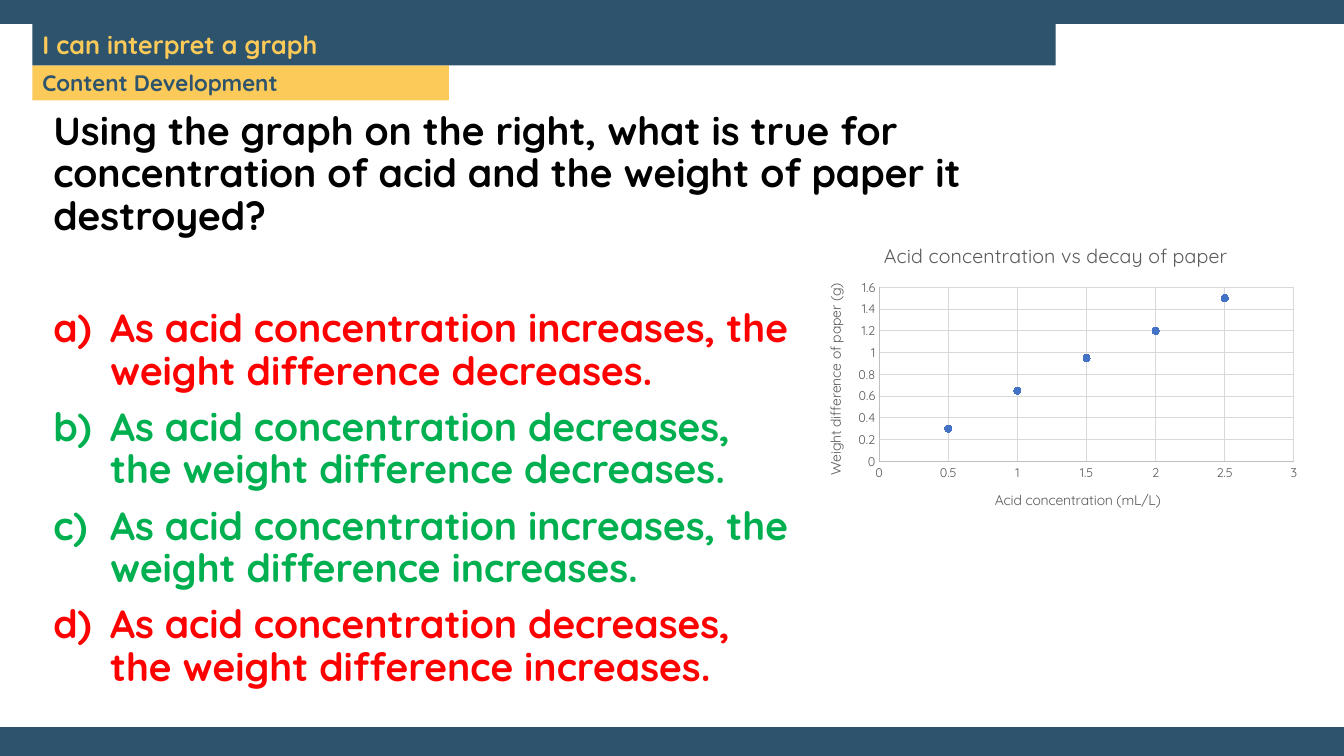
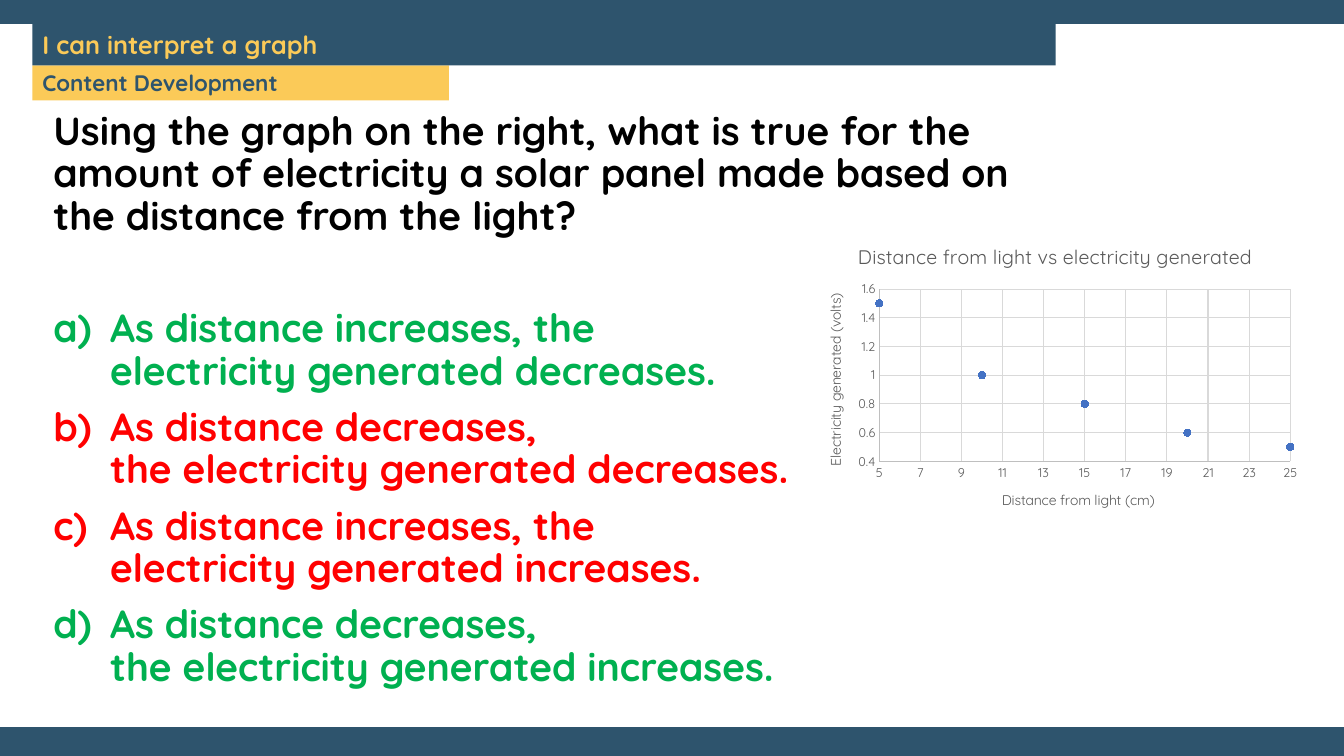
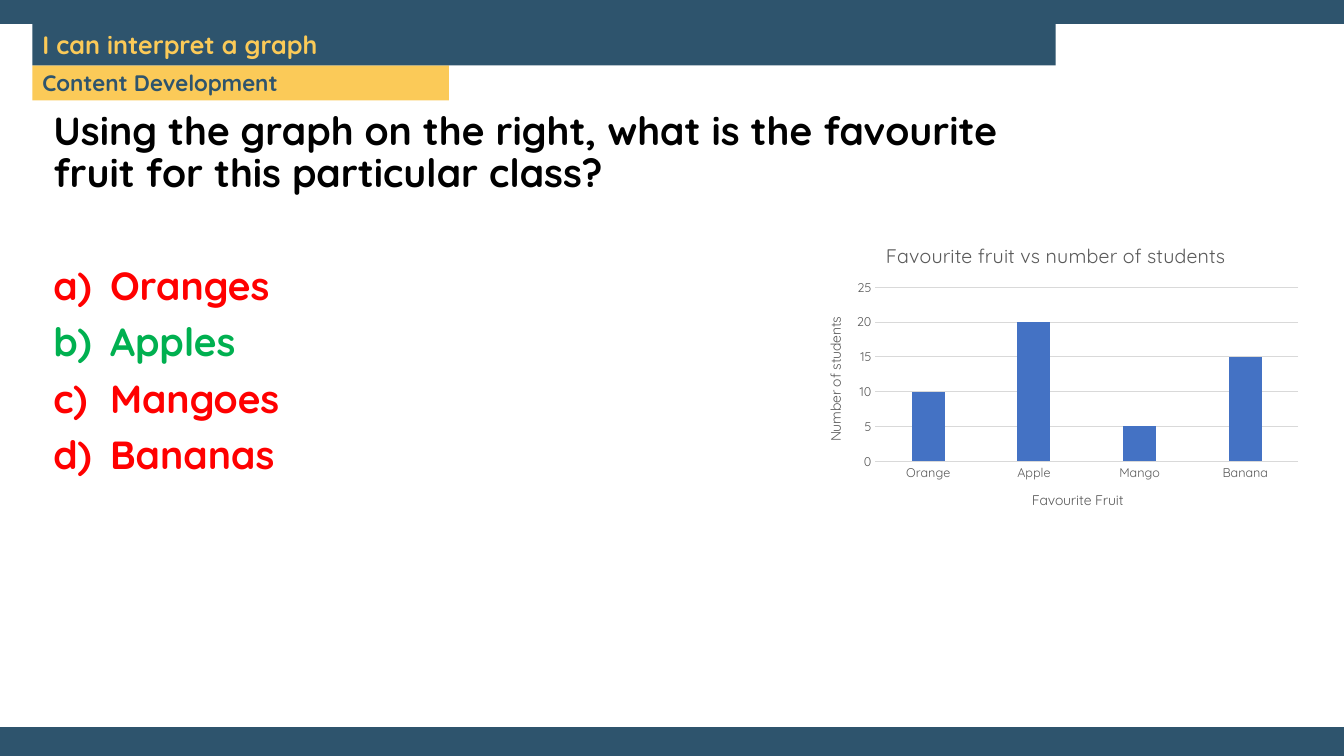
from lxml import etree
from pptx import Presentation
from pptx.chart.data import CategoryChartData, XyChartData
from pptx.dml.color import RGBColor
from pptx.enum.chart import XL_CHART_TYPE, XL_MARKER_STYLE, XL_TICK_MARK
from pptx.enum.shapes import MSO_SHAPE
from pptx.enum.text import MSO_ANCHOR, PP_ALIGN
from pptx.oxml.ns import qn
from pptx.util import Pt

SCATTER, COLUMN = XL_CHART_TYPE.XY_SCATTER, XL_CHART_TYPE.COLUMN_CLUSTERED
CIRCLE, NO_TICK = XL_MARKER_STYLE.CIRCLE, XL_TICK_MARK.NONE
RECTANGLE, MIDDLE, LEFT = MSO_SHAPE.RECTANGLE, MSO_ANCHOR.MIDDLE, PP_ALIGN.LEFT


class Theme:
    font = "Quicksand"
    navy = RGBColor.from_string("2E546D")
    yellow = RGBColor.from_string("FBCA58")
    white = RGBColor.from_string("FFFFFF")
    black = RGBColor.from_string("000000")
    right = RGBColor.from_string("00B050")
    wrong = RGBColor.from_string("FF0000")
    data = RGBColor.from_string("4472C4")
    label = RGBColor.from_string("595959")
    axis = RGBColor.from_string("BFBFBF")
    grid = RGBColor.from_string("D9D9D9")
    goal_size, stage_size, question_size = 18, 16, 28
    chart_title_size, axis_title_size, tick_size = 14, 10, 9


def set_font(font, size, color, bold):
    for name, value in {"name": Theme.font, "size": Pt(size), "bold": bold}.items():
        setattr(font, name, value)
    font.color.rgb = color


def place(element, index, values):
    """Give a chart part a fixed place, as fractions of the chart."""
    for old in element.findall(qn("c:layout")):
        element.remove(old)
    layout = etree.Element(qn("c:layout"))
    manual = etree.SubElement(layout, qn("c:manualLayout"))
    for name, value in values.items():
        etree.SubElement(manual, qn("c:" + name)).set("val", str(value))
    element.insert(index, layout)


# Bands on every slide: left, top, width, height, fill, text, size, text colour
BANDS = [
    (0, 0, 960, 540, Theme.navy, "", 0, None),
    (0, 17.3, 960, 501.9, Theme.white, "", 0, None),
    (23.2, 46.8, 297.4, 24.9, Theme.yellow, "Content Development", Theme.stage_size, Theme.navy),
    (23.2, 17.3, 730.8, 29.5, Theme.navy, "I can interpret a graph", Theme.goal_size, Theme.yellow),
]
CHART_LEFT, CHART_TOP, CHART_WIDTH, CHART_HEIGHT = 573.8, 162, 360, 216

# Axis ranges are minimum, maximum, step; places are points inside the chart
SLIDES = [
    {
        "question": "Using the graph on the right, what is true for concentration of acid "
                    "and the weight of paper it destroyed?",
        "answers": [
            ("As acid concentration increases, the\nweight difference decreases.", False),
            ("As acid concentration decreases,\nthe weight difference decreases.", True),
            ("As acid concentration increases, the\nweight difference increases.", True),
            ("As acid concentration decreases,\nthe weight difference increases.", False),
        ],
        "kind": SCATTER,
        "x": [0.5, 1, 1.5, 2, 2.5],
        "y": [0.3, 0.65, 0.95, 1.2, 1.5],
        "x_range": (0, 3, 0.5),
        "y_range": (0, 1.6, 0.2),
        "titles": [("Acid concentration vs decay of paper", 55, 8),
                   ("Acid concentration (mL/L)", 135, 186),
                   ("Weight difference of paper (g)", 14, 38.5)],
        "plot": (54.3, 43.3, 296.2, 124.3),
    },
    {
        "question": "Using the graph on the right, what is true for the amount of electricity "
                    "a solar panel made based on the distance from the light?",
        "answers": [
            ("As distance increases, the\nelectricity generated decreases.", True),
            ("As distance decreases,\nthe electricity generated decreases.", False),
            ("As distance increases, the\nelectricity generated increases.", False),
            ("As distance decreases,\nthe electricity generated increases.", True),
        ],
        "kind": SCATTER,
        "x": [5, 10, 15, 20, 25],
        "y": [1.5, 1, 0.8, 0.6, 0.5],
        "x_range": (5, 25, 2),
        "y_range": (0.4, 1.6, 0.2),
        "titles": [("Distance from light vs electricity generated", 36.5, 8.5),
                   ("Distance from light (cm)", 140, 186),
                   ("Electricity generated (volts)", 14, 45.5)],
        "plot": (54.3, 44.5, 293.6, 123.1),
    },
    {
        "question": "Using the graph on the right, what is the favourite fruit "
                    "for this particular class?",
        "answers": [("Oranges", False), ("Apples", True), ("Mangoes", False), ("Bananas", False)],
        "kind": COLUMN,
        "x": ["Orange", "Apple", "Mango", "Banana"],
        "y": [10, 20, 5, 15],
        "x_range": None,
        "y_range": (0, 25, 5),
        "titles": [("Favourite fruit vs number of students", 56.5, 8),
                   ("Favourite Fruit", 161.5, 186),
                   ("Number of students", 14, 62.5)],
        "plot": (51.5, 43.3, 302, 124.3),
    },
]

deck = Presentation()
deck.slide_width, deck.slide_height = Pt(960), Pt(540)

for content in SLIDES:
    slide = deck.slides.add_slide(deck.slide_layouts[6])
    is_scatter = content["kind"] == SCATTER

    # Bands with the lesson goal and stage
    for left, top, width, height, fill, text, size, color in BANDS:
        band = slide.shapes.add_shape(RECTANGLE, Pt(left), Pt(top), Pt(width), Pt(height))
        band.shadow.inherit = False
        band.fill.solid()
        band.fill.fore_color.rgb = fill
        band.line.fill.background()
        if text:
            band.text_frame.vertical_anchor = MIDDLE
            line = band.text_frame.paragraphs[0]
            line.text, line.alignment = text, LEFT
            set_font(line.runs[0].font, size, color, True)

    # Chart
    if is_scatter:
        data = XyChartData()
        points = data.add_series("Series 1")
        for x, y in zip(content["x"], content["y"]):
            points.add_data_point(x, y)
    else:
        data = CategoryChartData()
        data.categories = content["x"]
        data.add_series("Series 1", content["y"])
    chart = slide.shapes.add_chart(content["kind"], Pt(CHART_LEFT), Pt(CHART_TOP),
                                   Pt(CHART_WIDTH), Pt(CHART_HEIGHT), data).chart
    chart.has_legend = False
    set_font(chart.font, Theme.axis_title_size, Theme.black, False)
    plot = chart.plots[0]
    plot.vary_by_categories = False
    series = plot.series[0]
    if is_scatter:
        series.format.line.fill.background()
        series.marker.style, series.marker.size = CIRCLE, 5
        painted = [series.marker.format.fill, series.marker.format.line.fill]
    else:
        plot.gap_width, plot.overlap = 219, -27
        series.invert_if_negative = False
        painted = [series.format.fill]
    for paint in painted:
        paint.solid()
        paint.fore_color.rgb = Theme.data

    # Axes
    x_axis, y_axis = chart.category_axis, chart.value_axis
    for axis, limits in ((x_axis, content["x_range"]), (y_axis, content["y_range"])):
        axis.major_tick_mark = axis.minor_tick_mark = NO_TICK
        set_font(axis.tick_labels.font, Theme.tick_size, Theme.label, False)
        axis.format.line.width = Pt(0.75)
        axis.format.line.color.rgb = Theme.axis if is_scatter else Theme.grid
        axis.has_major_gridlines = limits is not None
        if limits:
            for name, value in zip(("minimum_scale", "maximum_scale", "major_unit"), limits):
                setattr(axis, name, value)
            axis.major_gridlines.format.line.width = Pt(0.75)
            axis.major_gridlines.format.line.color.rgb = Theme.grid
    if not is_scatter:
        y_axis.format.line.fill.background()

    # Chart and axis titles
    headings = (chart.chart_title, x_axis.axis_title, y_axis.axis_title)
    sizes = (Theme.chart_title_size, Theme.axis_title_size, Theme.axis_title_size)
    for heading, size, (text, left, top) in zip(headings, sizes, content["titles"]):
        heading.text_frame.text = text
        set_font(heading.text_frame.paragraphs[0].runs[0].font, size, Theme.label, False)
        place(heading._element, 1, {"xMode": "edge", "yMode": "edge",
                                    "x": left / CHART_WIDTH, "y": top / CHART_HEIGHT})
    turned = y_axis.axis_title.text_frame._txBody.find(qn("a:bodyPr"))
    turned.set("rot", "-5400000")
    turned.set("vert", "horz")
    left, top, width, height = content["plot"]
    place(chart._chartSpace.find(".//" + qn("c:plotArea")), 0, {
        "layoutTarget": "inner", "xMode": "edge", "yMode": "edge",
        "x": left / CHART_WIDTH, "y": top / CHART_HEIGHT,
        "w": width / CHART_WIDTH, "h": height / CHART_HEIGHT})

    # Question and lettered answers
    box = slide.shapes.add_textbox(Pt(31), Pt(76.3), Pt(715), Pt(148.3)).text_frame
    box.word_wrap = True
    question = box.paragraphs[0]
    question.text, question.line_spacing = content["question"], 0.9
    set_font(question.runs[0].font, Theme.question_size, Theme.black, True)
    for number, (text, is_right) in enumerate(content["answers"]):
        answer = box.add_paragraph()
        answer.text, answer.line_spacing = text, 0.9
        answer.space_before = Pt(10 if number else 50)
        properties = answer._p.get_or_add_pPr()
        properties.set("marL", str(Pt(40.5)))
        properties.set("indent", str(-Pt(40.5)))
        etree.SubElement(properties, qn("a:buAutoNum")).set("type", "alphaLcParenR")
        for run in answer.runs:
            set_font(run.font, Theme.question_size, Theme.right if is_right else Theme.wrong, True)

deck.save("out.pptx")
